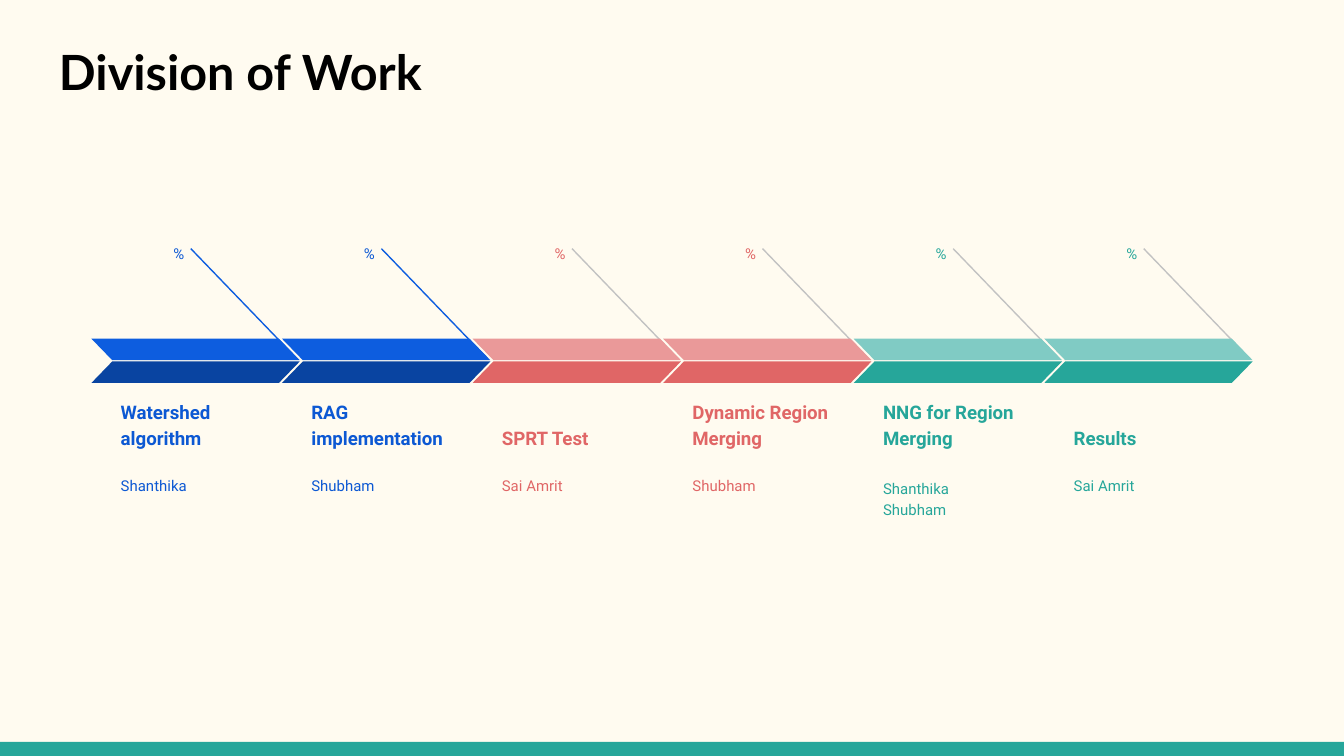
"""Build the Division of Work timeline slide."""
from copy import deepcopy

from lxml import etree
from pptx import Presentation
from pptx.dml.color import RGBColor
from pptx.enum.shapes import MSO_CONNECTOR, MSO_SHAPE
from pptx.enum.text import MSO_ANCHOR, PP_ALIGN
from pptx.oxml.ns import qn
from pptx.util import Inches, Pt

STRAIGHT = MSO_CONNECTOR.STRAIGHT
RECTANGLE, PARALLELOGRAM = MSO_SHAPE.RECTANGLE, MSO_SHAPE.PARALLELOGRAM
TOP, BOTTOM = MSO_ANCHOR.TOP, MSO_ANCHOR.BOTTOM
LEFT, RIGHT = PP_ALIGN.LEFT, PP_ALIGN.RIGHT

TITLE = "Division of Work"
BACKGROUND, FOOTER = "FFFBF0", "26A69A"
BLUE = {"upper": "0D5DDF", "lower": "0944A1", "text": "0C58D3", "line": "0D5DDF"}
RED = {"upper": "EA9999", "lower": "E06666", "text": "E06666", "line": "C2C2C2"}
TEAL = {"upper": "80CBC4", "lower": "26A69A", "text": "26A69A", "line": "C2C2C2"}
STAGES = [
    ("Watershed algorithm", "Shanthika", BLUE),
    ("RAG implementation", "Shubham", BLUE),
    ("SPRT Test", "Sai Amrit", RED),
    ("Dynamic Region Merging", "Shubham", RED),
    ("NNG for Region Merging", "Shanthika\nShubham", TEAL),
    ("Results", "Sai Amrit", TEAL),
]
FIRST_LEFT, LAST_LEFT = 0.68, 7.77
PITCH = (LAST_LEFT - FIRST_LEFT) / (len(STAGES) - 1)


def color(value):
    return RGBColor.from_string(value)


def add_block(parent, kind, place, fill):
    shape = parent.shapes.add_shape(kind, *map(Inches, place))
    shape.shadow.inherit = False
    shape.fill.solid()
    shape.fill.fore_color.rgb = color(fill)
    shape.line.fill.background()
    return shape


def add_text(parent, place, text, hue, size, name="Roboto", bold=False,
             anchor=TOP, **paragraph_format):
    box = parent.shapes.add_textbox(*map(Inches, place))
    frame = box.text_frame
    margins = {f"margin_{side}": Inches(0.1) for side in ("left", "top", "right", "bottom")}
    for key, value in {"word_wrap": True, "vertical_anchor": anchor, **margins}.items():
        setattr(frame, key, value)
    para = frame.paragraphs[0]
    para.text = text
    for key, value in paragraph_format.items():
        setattr(para, key, value)
    for span in para.runs:
        for key, value in {"size": Pt(size), "name": name, "bold": bold}.items():
            setattr(span.font, key, value)
        span.font.color.rgb = color(hue)
    for line_break in para._p.findall(qn("a:br")):
        line_break.insert(0, deepcopy(para.runs[0]._r.rPr))
    etree.SubElement(para._p, qn("a:endParaRPr"), sz=str(size * 100))


def add_stage(page, left, heading, people, palette):
    group = page.shapes.add_group_shape()
    ends = (left + 0.74, 1.85, left + 1.53, 2.67)
    pointer = group.shapes.add_connector(STRAIGHT, *map(Inches, ends))
    pointer.line.color.rgb = color(palette["line"])
    pointer.line.width = Pt(0.75)
    etree.SubElement(pointer._element.spPr, qn("a:effectLst"))

    for top, part in ((2.52, "upper"), (2.69, "lower")):
        half = add_block(group, PARALLELOGRAM, (left, top, 1.55, 0.16), palette[part])
        half.adjustments[0] = 0.97
        if part == "upper":
            half._element.spPr.xfrm.set("flipH", "1")

    hue = palette["text"]
    add_text(group, (left + 0.12, 2.95, 1.28, 0.49), heading, hue, 10, bold=True,
             anchor=BOTTOM, alignment=LEFT, line_spacing=1.15)
    add_text(group, (left + 0.12, 3.45, 1.28, 0.81), people, hue, 8,
             alignment=LEFT, line_spacing=1.15, space_after=Pt(16))
    add_text(group, (left + 0.11, 1.72, 0.68, 0.26), "%", hue, 8,
             alignment=RIGHT, line_spacing=1.15, space_after=Pt(16))


def main():
    deck = Presentation()
    deck.slide_width, deck.slide_height = Inches(10), Inches(10) * 9 // 16
    page = deck.slides.add_slide(deck.slide_layouts[6])
    page.background.fill.solid()
    page.background.fill.fore_color.rgb = color(BACKGROUND)

    add_block(page, RECTANGLE, (0, 5.52, 10, 0.11), FOOTER)
    for index, stage in enumerate(STAGES):
        add_stage(page, FIRST_LEFT + index * PITCH, *stage)
    add_text(page, (0.34, 0.21, 9.32, 0.67), TITLE, "000000", 26, name="Lato", bold=True)
    deck.save("out.pptx")


if __name__ == "__main__":
    main()
